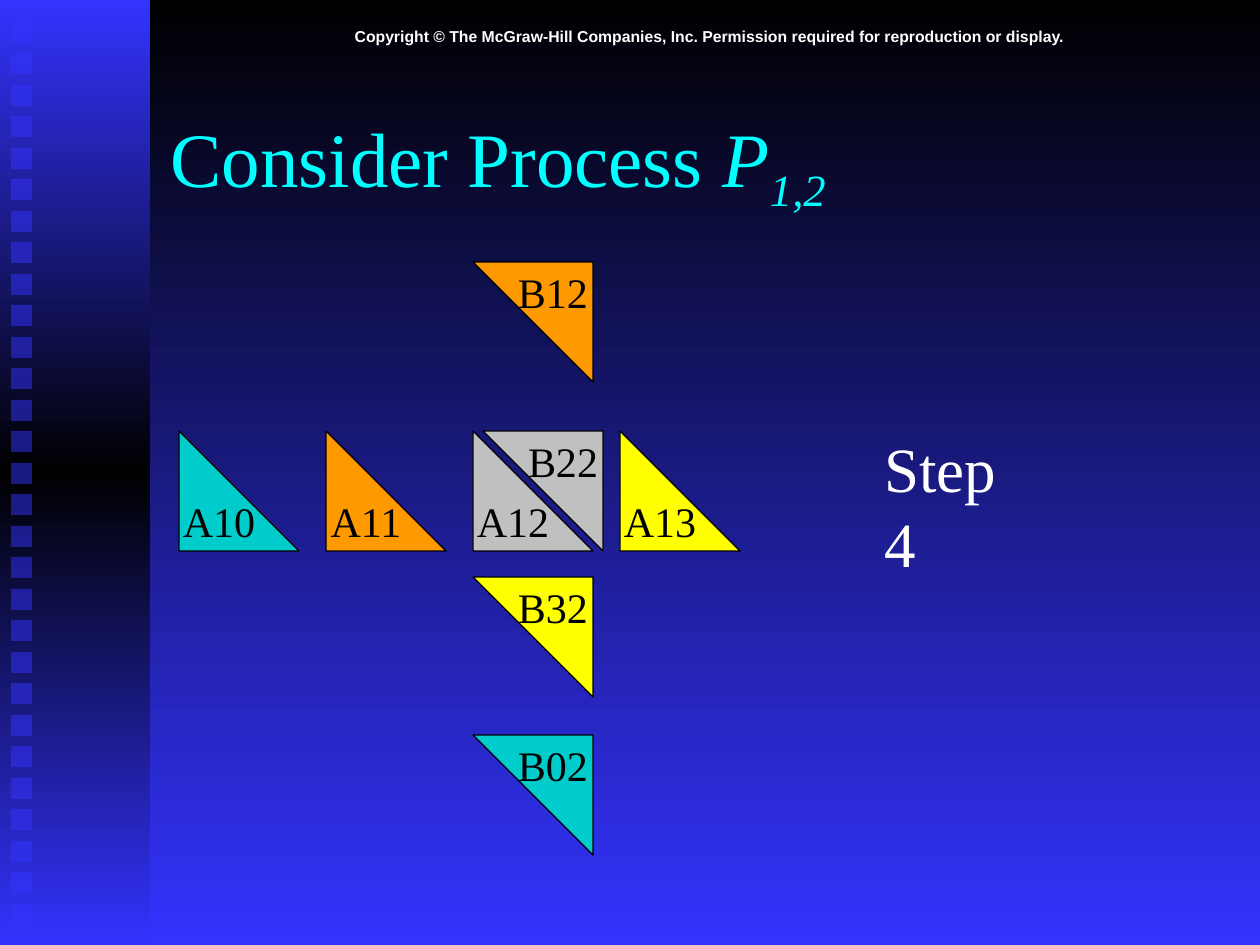
"""Build the slide showing the matrix blocks held by process P1,2 at step 4."""
from copy import deepcopy
from dataclasses import dataclass

from lxml import etree
from pptx import Presentation
from pptx.dml.color import RGBColor
from pptx.enum.shapes import MSO_SHAPE
from pptx.enum.text import MSO_ANCHOR, MSO_AUTO_SIZE, PP_ALIGN
from pptx.oxml.ns import qn
from pptx.util import Pt

RECTANGLE, RIGHT_TRIANGLE = MSO_SHAPE.RECTANGLE, MSO_SHAPE.RIGHT_TRIANGLE
LEFT, CENTER = PP_ALIGN.LEFT, PP_ALIGN.CENTER
MIDDLE = MSO_ANCHOR.MIDDLE
NO_FIT = MSO_AUTO_SIZE.NONE
SCALE = 914400 / 126


@dataclass(frozen=True)
class Theme:
    black: RGBColor = RGBColor.from_string("000000")
    blue: RGBColor = RGBColor.from_string("3333FF")
    white: RGBColor = RGBColor.from_string("FFFFFF")
    cyan: RGBColor = RGBColor.from_string("00FFFF")
    blocks: tuple = tuple(
        RGBColor.from_string(code) for code in ("00CCCC", "FF9900", "C0C0C0", "FFFF00")
    )
    serif: str = "Times New Roman"
    sans: str = "Arial"
    title_size: int = 44
    step_size: int = 36
    block_size: int = 24
    copyright_size: int = 9


theme = Theme()


def px(*lengths):
    return [round(length * SCALE) for length in lengths]


def style(paragraph, name, size, color, alignment=LEFT):
    paragraph.alignment = alignment
    paragraph.font.name = name
    paragraph.font.size = Pt(size)
    paragraph.font.color.rgb = color


presentation = Presentation()
presentation.slide_width, presentation.slide_height = px(1260, 945)
slide = presentation.slides.add_slide(presentation.slide_layouts[5])

background = slide.background.fill
background.gradient()
background.gradient_angle = 270
for stop, color in zip(background.gradient_stops, (theme.black, theme.blue)):
    stop.color.rgb = color

band = slide.shapes.add_shape(RECTANGLE, *px(0, 0, 150, 945))
band.shadow.inherit = False
band.line.fill.background()
band.fill.gradient()
band.fill.gradient_angle = 270
first_stop = band.element.spPr.find(qn("a:gradFill")).find(qn("a:gsLst"))[0]
first_stop.addnext(deepcopy(first_stop))
band_stops = zip(band.fill.gradient_stops, (theme.blue, theme.black, theme.blue), (0, 0.5, 1))
for stop, color, position in band_stops:
    stop.color.rgb = color
    stop.position = position

for index in range(29):
    square = slide.shapes.add_shape(RECTANGLE, *px(11, 22 + index * 63 // 2, 21, 21))
    square.shadow.inherit = False
    square.line.fill.background()
    square.fill.solid()
    square.fill.fore_color.rgb = theme.blue
    square_color = square.element.spPr.find(qn("a:solidFill"))[0]
    etree.SubElement(square_color, qn("a:alpha"), val="50000")

copyright_box = slide.shapes.add_textbox(*px(158, 21, 1102, 32))
copyright_box.text_frame.word_wrap = True
paragraph = copyright_box.text_frame.paragraphs[0]
paragraph.text = (
    "Copyright © The McGraw-Hill Companies, Inc. "
    "Permission required for reproduction or display."
)
style(paragraph, theme.sans, theme.copyright_size, theme.white, CENTER)
paragraph.font.bold = True

title = slide.shapes.title
title.left, title.top, title.width, title.height = px(158, 84, 1071, 158)
title.text_frame.vertical_anchor = MIDDLE
title.text_frame.auto_size = NO_FIT
paragraph = title.text_frame.paragraphs[0]
style(paragraph, theme.serif, theme.title_size, theme.cyan)
for text, italic, baseline in (
    ("Consider Process ", False, 0),
    ("P", True, 0),
    ("1,2", True, -25000),
):
    run = paragraph.add_run()
    run.text = text
    run.font.italic = italic
    if baseline:
        run.font._element.set("baseline", str(baseline))

a_blocks = [(f"A1{k}", k, 179 + 147 * k, 431, 0) for k in range(4)]
b_positions = ((473, 735), (473, 262), (483, 431), (473, 577))
b_blocks = [(f"B{k}2", k, x, y, 180) for k, (x, y) in enumerate(b_positions)]
for label, k, x, y, rotation in a_blocks + b_blocks:
    block = slide.shapes.add_shape(RIGHT_TRIANGLE, *px(x, y, 120, 120))
    block.rotation = rotation
    block.shadow.inherit = False
    block.fill.solid()
    block.fill.fore_color.rgb = theme.blocks[k]
    block.line.color.rgb = theme.black
    block.line.width = Pt(0.75)
    frame = block.text_frame
    frame.word_wrap = False
    frame.vertical_anchor = MIDDLE
    if rotation:
        frame._txBody.bodyPr.set("rot", str(rotation * 60000))
    frame.text = label
    style(frame.paragraphs[0], theme.serif, theme.block_size, theme.black, CENTER)

step_box = slide.shapes.add_textbox(*px(872, 423, 184, 88))
step_box.text_frame.word_wrap = False
step_box.text_frame.text = "Step 4"
style(step_box.text_frame.paragraphs[0], theme.serif, theme.step_size, theme.white)

presentation.save("out.pptx")
